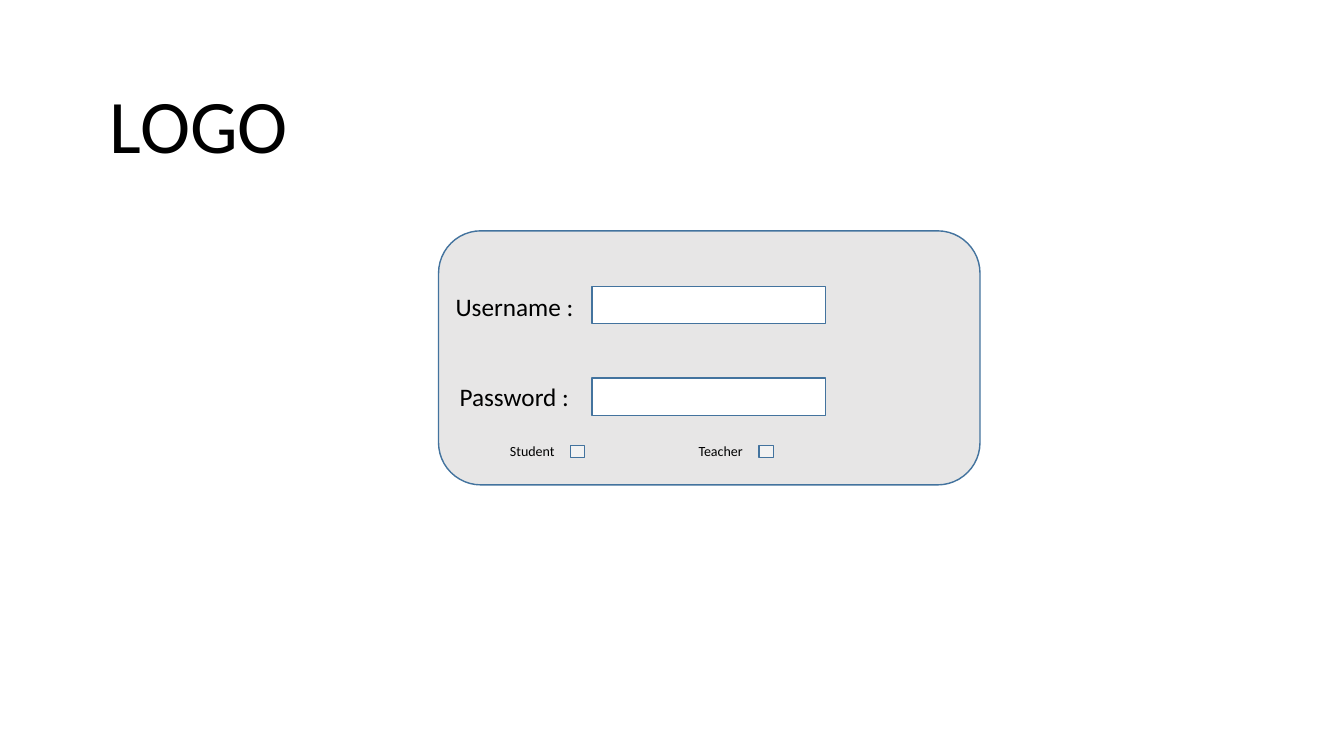
"""Build a login form slide with a logo title, two fields and two check boxes."""
from pptx import Presentation
from pptx import util as u
from pptx.dml import color
from pptx.enum import shapes, text

KIND = shapes.MSO_SHAPE


def box(kind, x, y, w, h, fill):
    item = slide.shapes.add_shape(kind, *map(u.Inches, (x, y, w, h)))
    item.shadow.inherit = False
    item.fill.solid()
    item.fill.fore_color.rgb = color.RGBColor.from_string(fill)
    item.line.color.rgb = color.RGBColor.from_string("43739E")
    item.line.width = u.Pt(1)


def write(item, x, y, w, h, words, size):
    item.left, item.top, item.width, item.height = map(u.Inches, (x, y, w, h))
    frame = item.text_frame
    frame.word_wrap = True
    frame.auto_size = text.MSO_AUTO_SIZE.NONE
    frame.vertical_anchor = text.MSO_ANCHOR.TOP
    para = frame.paragraphs[0]
    para.alignment = text.PP_ALIGN.LEFT
    para.line_spacing = 1.0
    run = para.add_run()
    run.text = words
    run.font.name = "Calibri"
    run.font.size = u.Pt(size)
    run.font.color.rgb = color.RGBColor.from_string("000000")


deck = Presentation()
deck.slide_width, deck.slide_height = u.Inches(13.33), u.Inches(7.5)
slide = deck.slides.add_slide(deck.slide_layouts[5])

write(slide.shapes.title, 0.99, 0.72, 3.71, 1.01, "LOGO", 54)
box(KIND.ROUNDED_RECTANGLE, 4.35, 2.29, 5.37, 2.52, "E7E6E6")

fields = [("Username :", 4.42, 2.84, 1.38), ("Password :", 4.46, 3.73, 1.3)]
for row, (label, x, y, w) in enumerate(fields):
    box(KIND.RECTANGLE, 5.87, 2.84 + row * 0.91, 2.32, 0.37, "FFFFFF")
    name = slide.shapes.add_textbox(0, 0, 0, 0)
    write(name, x, y, w, 0.4, label, 18)

for col, role in enumerate(("Student", "Teacher")):
    x = 4.96 + col * 1.87
    box(KIND.RECTANGLE, x + 0.7, 4.42, 0.14, 0.12, "F2F2F2")
    name = slide.shapes.add_textbox(0, 0, 0, 0)
    write(name, x, 4.34, 0.7, 0.27, role, 10)

deck.save("out.pptx")
